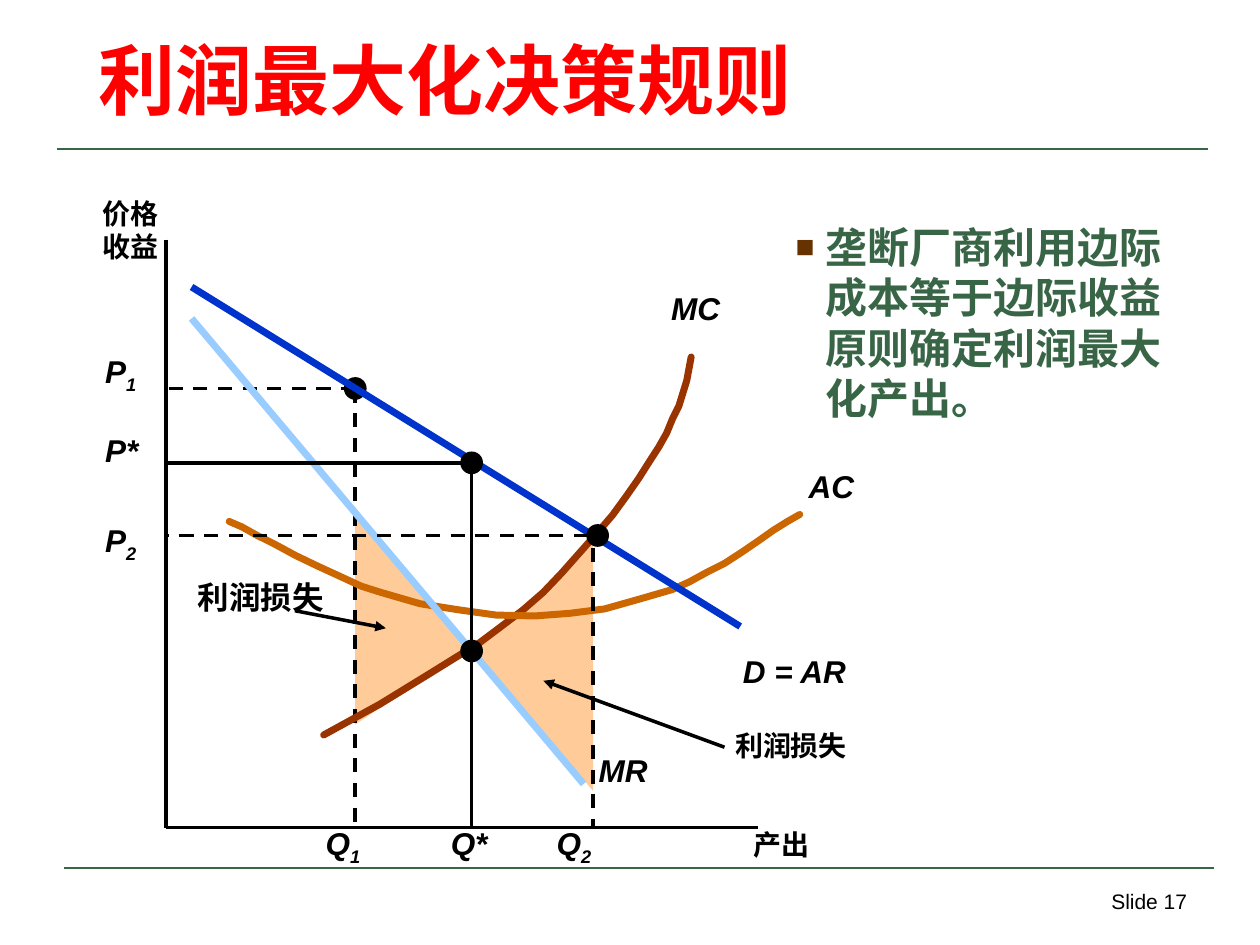
"""Build the slide on the profit-maximising rule of a monopolist."""
from lxml.etree import SubElement
from pptx import Presentation
from pptx.dml.color import RGBColor
from pptx.enum.dml import MSO_LINE
from pptx.enum.shapes import MSO_CONNECTOR, MSO_SHAPE
from pptx.enum.text import MSO_ANCHOR, MSO_AUTO_SIZE, PP_ALIGN
from pptx.oxml.ns import qn
from pptx.util import Pt

FONT = "Arial"
BLACK, GREEN, RED, PEACH = "000000", "376546", "FF0000", "FFCC99"
color = RGBColor.from_string


def add_line(start, end, line_color=BLACK, width=2, dashed=False, arrow=False):
    line = slide.shapes.add_connector(
        MSO_CONNECTOR.STRAIGHT, *[Pt(value) for value in (*start, *end)])
    line.line.color.rgb = color(line_color)
    line.line.width = Pt(width)
    if dashed:
        line.line.dash_style = MSO_LINE.DASH
    if arrow:
        SubElement(line.line._get_or_add_ln(), qn("a:tailEnd"), type="triangle")
    SubElement(line._element.spPr, qn("a:effectLst"))


def add_dot(center_x, center_y, size=12):
    dot = slide.shapes.add_shape(
        MSO_SHAPE.OVAL, Pt(center_x - size / 2), Pt(center_y - size / 2), Pt(size), Pt(size))
    dot.shadow.inherit = False
    dot.fill.solid()
    dot.fill.fore_color.rgb = color(BLACK)
    dot.line.color.rgb = color(BLACK)
    dot.line.width = Pt(1)


deck = Presentation()
deck.slide_width, deck.slide_height = Pt(720), Pt(540)
slide = deck.slides.add_slide(deck.slide_layouts[1])

title = slide.shapes.title
title.left, title.top, title.width, title.height = Pt(49), Pt(16), Pt(654), Pt(59)
title.text_frame.vertical_anchor = MSO_ANCHOR.BOTTOM
title.text_frame.auto_size = MSO_AUTO_SIZE.NONE
body = slide.placeholders[1]
body.left, body.top, body.width, body.height = Pt(447.5), Pt(123), Pt(231), Pt(122)
body.text_frame.auto_size = MSO_AUTO_SIZE.NONE
for holder, words, size, text_color in (
    (title, "利润最大化决策规则", 44, RED),
    (body, "垄断厂商利用边际成本等于边际收益原则确定利润最大化产出。", 24, GREEN),
):
    para = holder.text_frame.paragraphs[0]
    para.alignment = PP_ALIGN.LEFT
    span = para.add_run()
    span.text = words
    span.font.name, span.font.size, span.font.bold = FONT, Pt(size), True
    span.font.color.rgb = color(text_color)

para = body.text_frame.paragraphs[0]
para.space_before = Pt(15)
bullet = para._p.get_or_add_pPr()
bullet.set("marL", str(Pt(17)))
bullet.set("indent", str(-Pt(17)))
SubElement(SubElement(bullet, qn("a:buClr")), qn("a:srgbClr"), val="663300")
SubElement(bullet, qn("a:buSzPct"), val="75000")
SubElement(bullet, qn("a:buFont"), typeface=FONT)
SubElement(bullet, qn("a:buChar"), char="■")

add_line((32.5, 85), (690.5, 85), GREEN, 1)
add_line((36.5, 496), (694, 496), GREEN, 1.5)

axis_x, axis_y = 95, 473
quantity_1, quantity_best, quantity_2 = 203, 269.5, 339
price_1, price_best, price_2 = 222, 264.5, 306

loss_areas = [
    [(269.5, 371), (339, 452), (339, 308), (314, 333.5)],
    [(203, 414), (203, 296), (223, 316), (245.5, 345), (269.5, 372), (239, 390)],
]
marginal_cost = [
    (185, 420), (217, 402.5), (245.5, 385), (274.5, 367), (286.5, 358), (299, 348.5),
    (310.5, 338.5), (321, 327.5), (340.5, 305.5), (350, 294.5), (358, 283.5),
    (365, 273.5), (371, 264), (376.5, 255.5), (381, 247.5), (384.5, 239),
    (388, 232), (392.5, 217.5), (395, 204),
]
average_cost = [
    (131, 298), (138, 301), (147, 306), (157, 311), (169, 317.5), (181.5, 323.5),
    (193.5, 329), (206.5, 335), (217.5, 338.5), (240, 345), (262, 348.5),
    (283.5, 351.5), (305.5, 352), (325.5, 350.5), (345.5, 348), (365, 342.5),
    (384, 337), (394, 332.5), (404, 327), (414, 322), (424, 315.5), (433.5, 309),
    (442, 303), (450, 298), (457, 294),
]

outlines = [(points, PEACH, True) for points in loss_areas]
outlines += [(marginal_cost, "993300", False), (average_cost, "CC6600", False)]
for points, outline_color, filled in outlines:
    if points is marginal_cost:
        add_line((quantity_1, price_1), (quantity_1, axis_y), dashed=True)
        add_line((quantity_1, price_1), (axis_x, price_1), dashed=True)
        add_dot(quantity_1, price_1)
    corners = [(Pt(x), Pt(y)) for x, y in points]
    builder = slide.shapes.build_freeform(*corners[0])
    builder.add_line_segments(corners[1:], close=filled)
    outline = builder.convert_to_shape()
    outline.shadow.inherit = False
    if filled:
        outline.fill.solid()
        outline.fill.fore_color.rgb = color(outline_color)
        outline.line.fill.background()
    else:
        outline.fill.background()
        outline.line.color.rgb = color(outline_color)
        outline.line.width = Pt(4)
        outline.line._get_or_add_ln().set("cap", "rnd")

add_line((axis_x, 137), (axis_x, axis_y))
add_line((axis_x, axis_y), (433, axis_y))
add_line((109.5, 164), (423, 358), "0033CC", 4)
add_line((109.5, 182), (333.5, 448), "99CCFF", 4)
add_line((quantity_best, price_best), (quantity_best, axis_y))
add_line((quantity_best, price_best), (axis_x, price_best))
add_line((quantity_2, 313), (quantity_2, axis_y), dashed=True)
add_line((336, price_2), (axis_x, price_2), dashed=True)
add_dot(quantity_best, 372)
add_dot(quantity_best, price_best)
add_dot(341.5, price_2)
add_line((414, 427), (310.5, 389), arrow=True)
add_line((168.5, 349), (220.5, 359), arrow=True)

labels = [
    (413, 413, 80, 26, 16, False, ["利润损失"], ""),
    (106, 327, 88, 29, 18, False, ["利润损失"], ""),
    (423.5, 469.5, 48, 26, 16, False, ["产出"], ""),
    (49.5, 108.5, 48, 45, 16, False, ["价格", "收益"], ""),
    (376.5, 161.5, 44, 29, 18, True, ["MC"], ""),
    (455, 263.5, 42, 29, 18, True, ["AC"], ""),
    (417.5, 369, 75, 29, 18, True, ["D = AR"], ""),
    (335, 425.5, 44, 29, 18, True, ["MR"], ""),
    (53, 197.5, 34, 32, 18, True, ["P"], "1"),
    (53, 243, 35, 29, 18, True, ["P*"], ""),
    (53, 294, 34, 32, 18, True, ["P"], "2"),
    (179, 467.5, 35, 32, 18, True, ["Q"], "1"),
    (250.5, 467.5, 37, 29, 18, True, ["Q*"], ""),
    (311, 467.5, 35, 32, 18, True, ["Q"], "2"),
    (599, 504, 86.5, 36, 12, False, ["Slide 17"], ""),
]
for left, top, width, height, size, italic, rows, subscript in labels:
    box = slide.shapes.add_textbox(Pt(left), Pt(top), Pt(width), Pt(height))
    frame = box.text_frame
    frame.word_wrap = size == 12
    frame.auto_size = MSO_AUTO_SIZE.NONE if size == 12 else MSO_AUTO_SIZE.SHAPE_TO_FIT_TEXT
    for number, row in enumerate(rows):
        para = frame.add_paragraph() if number else frame.paragraphs[0]
        right = size == 12 or len(rows) > 1
        para.alignment = PP_ALIGN.RIGHT if right else PP_ALIGN.LEFT
        for words in filter(None, (row, subscript)):
            span = para.add_run()
            span.text = words
            span.font.name, span.font.size = FONT, Pt(size)
            span.font.bold, span.font.italic = size > 12, italic
            span.font.color.rgb = color(BLACK)
        if subscript:
            span.font._element.set("baseline", "-25000")

deck.save("out.pptx")
